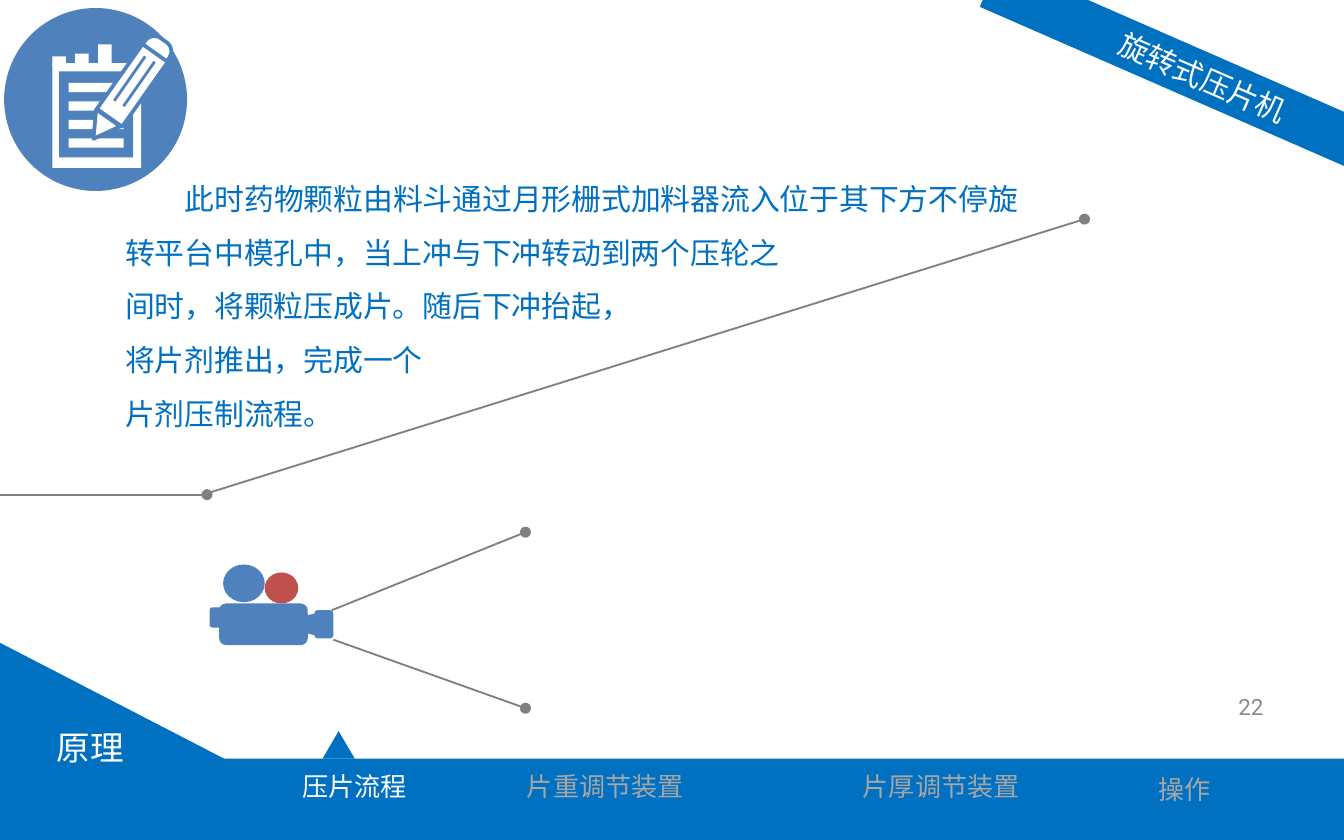
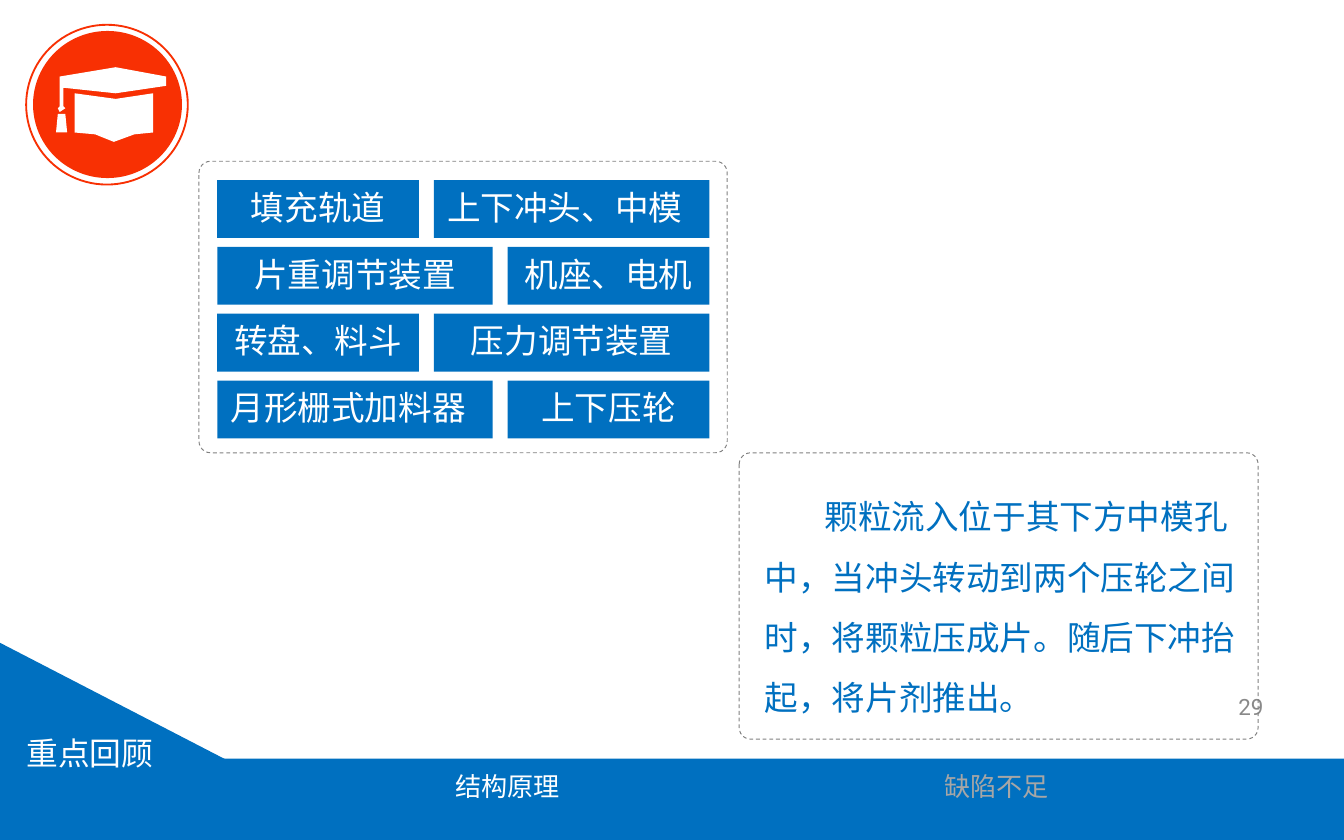
"""Build two slides on the rotary tablet press: its process and a review."""
import pptx
import pptx.dml.color
import pptx.enum.dml
import pptx.enum.shapes
import pptx.enum.text
import pptx.oxml.ns
import pptx.oxml.xmlchemy
import pptx.util

Pt = pptx.util.Pt
SHAPE = pptx.enum.shapes.MSO_SHAPE
ALIGN = pptx.enum.text.PP_ALIGN
ANCHOR = pptx.enum.text.MSO_ANCHOR


class Theme:
    blue, white, gray = "0070C0", "FFFFFF", "808080"
    icon_blue, icon_red, cap_red = "4F81BD", "C0504D", "F83003"
    muted, number = "A6A6A6", "898989"
    latin, cjk = "Roboto", "Noto Sans CJK SC"
    small, tab, text, title_small, title = 12, 14, 16, 17, 18


PROCESS = {
    "title": ("原理", 386, Theme.title),
    "body": [
        "此时药物颗粒由料斗通过月形栅式加料器流入位于其下方不停旋转平台中模孔中，当上冲与下冲转动到两个压轮之",
        "间时，将颗粒压成片。随后下冲抬起，",
        "将片剂推出，完成一个",
        "片剂压制流程。",
    ],
    "body_box": (59.8, 83.5, 496, 152.6),
    "body_size": Theme.text,
    "tabs": [
        ("压片流程", (108, 409, 164, 24.5), Theme.white),
        ("片重调节装置", (241.2, 409, 166.3, 24.5), Theme.muted),
        ("片厚调节装置", (388, 409, 232.6, 24.5), Theme.muted),
        ("操作", (518.4, 411, 232.6, 24.5), Theme.muted),
    ],
    "number": "22",
}
REVIEW = {
    "title": ("重点回顾", 389.5, Theme.title_small),
    "body": ["颗粒流入位于其下方中模孔中，当冲头转动到两个压轮之间时，将颗粒压成片。随后下冲抬起，将片剂推出。"],
    "body_box": (402.5, 251.3, 272.2, 138.2),
    "body_size": Theme.title,
    "tabs": [
        ("结构原理", (190, 409, 164, 24.5), Theme.white),
        ("缺陷不足", (450.7, 409, 166.3, 24.5), Theme.muted),
    ],
    "number": "29",
}
RIBBON = "旋转式压片机"
PART_ROWS = [
    (("填充轨道", ALIGN.CENTER), ("上下冲头、中模", ALIGN.LEFT)),
    (("片重调节装置", ALIGN.CENTER), ("机座、电机", ALIGN.CENTER)),
    (("转盘、料斗", ALIGN.CENTER), ("压力调节装置", ALIGN.CENTER)),
    (("月形栅式加料器", ALIGN.LEFT), ("上下压轮", ALIGN.CENTER)),
]
FRAMES = [(106.6, 86.4, 283, 156.2), (396, 242.6, 278, 153.4)]
TRACKS = [
    ((-8.6, 265), (110.9, 265)),
    ((108.7, 265), (581, 117.4)),
    ((177.8, 326.9), (281.5, 285.1)),
    ((178.6, 342.7), (281.5, 379.4)),
]
CAMERA = [
    (SHAPE.OVAL, (119.5, 302.4, 22.3, 20.2), Theme.icon_blue),
    (SHAPE.OVAL, (141.8, 306.7, 18, 16.6), Theme.icon_red),
    (SHAPE.ROUNDED_RECTANGLE, (117.4, 323.3, 47.5, 22.3), Theme.icon_blue),
    (SHAPE.ROUNDED_RECTANGLE, (112.3, 325.4, 8.6, 10.8), Theme.icon_blue),
    (SHAPE.ROUNDED_RECTANGLE, (168.5, 326.9, 10.1, 15.1), Theme.icon_blue),
]
LENS = [(170.6, 341.3), (159.8, 338.4), (159.8, 331.2), (170.6, 328.3)]
NOTEPAD = [
    (SHAPE.OVAL, (2.2, 4.3, 98, 98), Theme.icon_blue),
    (SHAPE.RECTANGLE, (28.1, 33.8, 47.5, 56.2), Theme.white),
    (SHAPE.RECTANGLE, (31.7, 38.2, 39.6, 46.1), Theme.icon_blue),
    *[(SHAPE.RECTANGLE, (36.7, 44.4 + 9.9 * i, 29.5, 5), Theme.white) for i in range(4)],
    (SHAPE.RECTANGLE, (28.1, 30.2, 7.2, 5), Theme.white),
    (SHAPE.RECTANGLE, (40.3, 28.8, 7.2, 5), Theme.white),
    (SHAPE.RECTANGLE, (52.6, 23.8, 7.2, 10), Theme.white),
]
PENCIL = [
    (SHAPE.ROUNDED_RECTANGLE, (75.6, 20.2, 15.8, 14.4), 0.41),
    (SHAPE.ISOSCELES_TRIANGLE, (46.1, 61.9, 15.8, 13.7), 0.5),
    (SHAPE.RECTANGLE, (62.6, 24.5, 16.6, 42.5), None),
]
PENCIL_LINES = [((77.8, 30.2), (61.2, 54)), ((82.8, 33.1), (66.2, 56.9))]
CAP = [
    [(31.7, 41), (61.9, 36), (89.3, 41), (89.3, 46.1), (61.9, 50.4), (33.8, 46.8),
     (33.8, 56.9), (34.6, 58.3), (32.4, 60.5), (31, 58.3), (31.7, 56.9)],
    [(31, 61.2), (34.6, 61.2), (36, 70.6), (29.5, 70.6)],
    [(40.3, 70.6), (40.3, 49.7), (61.9, 52.6), (82.1, 49.7), (82.1, 70.6),
     (71.6, 71.6), (61.2, 75.6), (50.8, 71.6)],
]


def rgb(color):
    return pptx.dml.color.RGBColor.from_string(color)


def paint(sp, fill, line=None, width=1):
    sp.shadow.inherit = False
    if fill:
        sp.fill.solid()
        sp.fill.fore_color.rgb = rgb(fill)
    else:
        sp.fill.background()
    if line:
        sp.line.color.rgb = rgb(line)
        sp.line.width = Pt(width)
    else:
        sp.line.fill.background()
    return sp


def add_shape(shapes, kind, box, fill, line=None, width=1, adj=None, turn=0):
    sp = shapes.add_shape(kind, *map(Pt, box))
    if adj is not None:
        sp.adjustments[0] = adj
    sp.rotation = turn
    return paint(sp, fill, line, width)


def add_outline(shapes, contours, fill):
    first, *others = contours
    builder = shapes.build_freeform(*first[0], scale=Pt(1))
    builder.add_line_segments(first[1:], close=True)
    for points in others:
        builder.move_to(*points[0])
        builder.add_line_segments(points[1:], close=True)
    return paint(builder.convert_to_shape(), fill)


def add_line(shapes, start, end, color, width, dot=False):
    line = shapes.add_connector(pptx.enum.shapes.MSO_CONNECTOR.STRAIGHT, *map(Pt, start + end))
    line.line.color.rgb = rgb(color)
    line.line.width = Pt(width)
    sp_pr = line.element.spPr
    qn = pptx.oxml.ns.qn
    if dot:
        ln = sp_pr.find(qn("a:ln"))
        ln.append(ln.makeelement(qn("a:tailEnd"), {"type": "oval"}))
    sp_pr.append(sp_pr.makeelement(qn("a:effectLst"), {}))


def write(sp, lines, size, color, align, anchor=ANCHOR.TOP, font=Theme.latin, spacing=None, indent=None):
    tf = sp.text_frame
    tf.word_wrap = True
    tf.auto_size = pptx.enum.text.MSO_AUTO_SIZE.NONE
    tf.vertical_anchor = anchor
    for i, text in enumerate(lines):
        p = tf.paragraphs[0] if i == 0 else tf.add_paragraph()
        p.text = text
        if indent is not None:
            p_pr = p._p.get_or_add_pPr()
            p_pr.set("marL", "0")
            p_pr.set("indent", str(Pt(indent if i == 0 else 0)))
            p_pr.append(p_pr.makeelement(pptx.oxml.ns.qn("a:buNone"), {}))
        p.alignment = align
        p.space_before = Pt(0)
        if spacing:
            p.line_spacing = spacing
        p.font.name = font
        p.font.size = Pt(size)
        p.font.bold = False
        p.font.color.rgb = rgb(color)


def place(sp, box):
    sp.left, sp.top, sp.width, sp.height = map(Pt, box)


def add_text(slide, text, box, size, color, align, anchor=ANCHOR.TOP):
    write(slide.shapes.add_textbox(*map(Pt, box)), [text], size, color, align, anchor)


def add_base(prs, content):
    slide = prs.slides.add_slide(prs.slide_layouts[1])
    title, body = slide.placeholders
    place(body, content["body_box"])
    write(body, content["body"], content["body_size"], Theme.blue, ALIGN.LEFT, spacing=1.5, indent=32)
    band = slide.shapes.add_group_shape().shapes
    add_shape(band, SHAPE.RECTANGLE, (-2, 406.5, 723, 62.6), Theme.blue)
    add_shape(band, SHAPE.ISOSCELES_TRIANGLE, (-0.7, 344, 123.8, 64), Theme.blue, adj=0)
    text, top, size = content["title"]
    place(title, (2.9, top, 90.7, 28.8))
    write(title, [text], size, Theme.white, ALIGN.CENTER)
    title.element.getparent().append(title.element)
    for text, box, color in content["tabs"]:
        add_text(slide, text, box, Theme.tab, color, ALIGN.CENTER)
    add_text(slide, content["number"], (516.2, 366.5, 167.8, 23.8), Theme.small, Theme.number,
             ALIGN.RIGHT, ANCHOR.MIDDLE)
    return slide


def add_process(prs):
    slide = add_base(prs, PROCESS)
    shapes = slide.shapes
    ribbon = add_shape(shapes, SHAPE.RECTANGLE, (519.8, 28.1, 249.1, 26.6), Theme.blue, turn=23.6)
    write(ribbon, [RIBBON], Theme.text, Theme.white, ALIGN.CENTER, ANCHOR.MIDDLE, Theme.cjk)
    camera = shapes.add_group_shape().shapes
    for kind, box, fill in CAMERA:
        add_shape(camera, kind, box, fill)
    add_outline(camera, [LENS], Theme.icon_blue)
    for start, end in TRACKS:
        add_line(shapes, start, end, Theme.gray, 1, dot=True)
    notepad = shapes.add_group_shape().shapes
    for kind, box, fill in NOTEPAD:
        add_shape(notepad, kind, box, fill)
    for kind, box, adj in PENCIL:
        add_shape(notepad, kind, box, Theme.white, Theme.icon_blue, 2, adj, 215.2)
    for start, end in PENCIL_LINES:
        add_line(notepad, start, end, Theme.icon_blue, 1.5)
    add_shape(shapes, SHAPE.ISOSCELES_TRIANGLE, (172.8, 391.7, 17.3, 14.8), Theme.blue)


def add_review(prs):
    slide = add_base(prs, REVIEW)
    shapes = slide.shapes
    badge = shapes.add_group_shape().shapes
    add_shape(badge, SHAPE.OVAL, (14, 13.3, 86.6, 85.6), None, Theme.cap_red)
    add_shape(badge, SHAPE.OVAL, (17.7, 16.6, 79.8, 78.8), Theme.cap_red)
    add_outline(badge, CAP, Theme.white)
    left, top, pitch, gap, height = 116.4, 96.5, 35.8, 8, 31
    widths = (108, 147.6)
    for i, row in enumerate(PART_ROWS):
        x = left
        for (text, align), width in zip(row, widths if i % 2 == 0 else widths[::-1]):
            chip = add_shape(shapes, SHAPE.RECTANGLE, (x, top + pitch * i, width, height), Theme.blue)
            write(chip, [text], Theme.title, Theme.white, align)
            x += width + gap
    for box in FRAMES:
        frame = add_shape(shapes, SHAPE.ROUNDED_RECTANGLE, box, None, Theme.gray, 0.5, 0.04)
        frame.line.dash_style = pptx.enum.dml.MSO_LINE.DASH


def main():
    prs = pptx.Presentation()
    prs.slide_width, prs.slide_height = Pt(720), Pt(450)
    add_process(prs)
    add_review(prs)
    prs.save("out.pptx")


if __name__ == "__main__":
    main()
